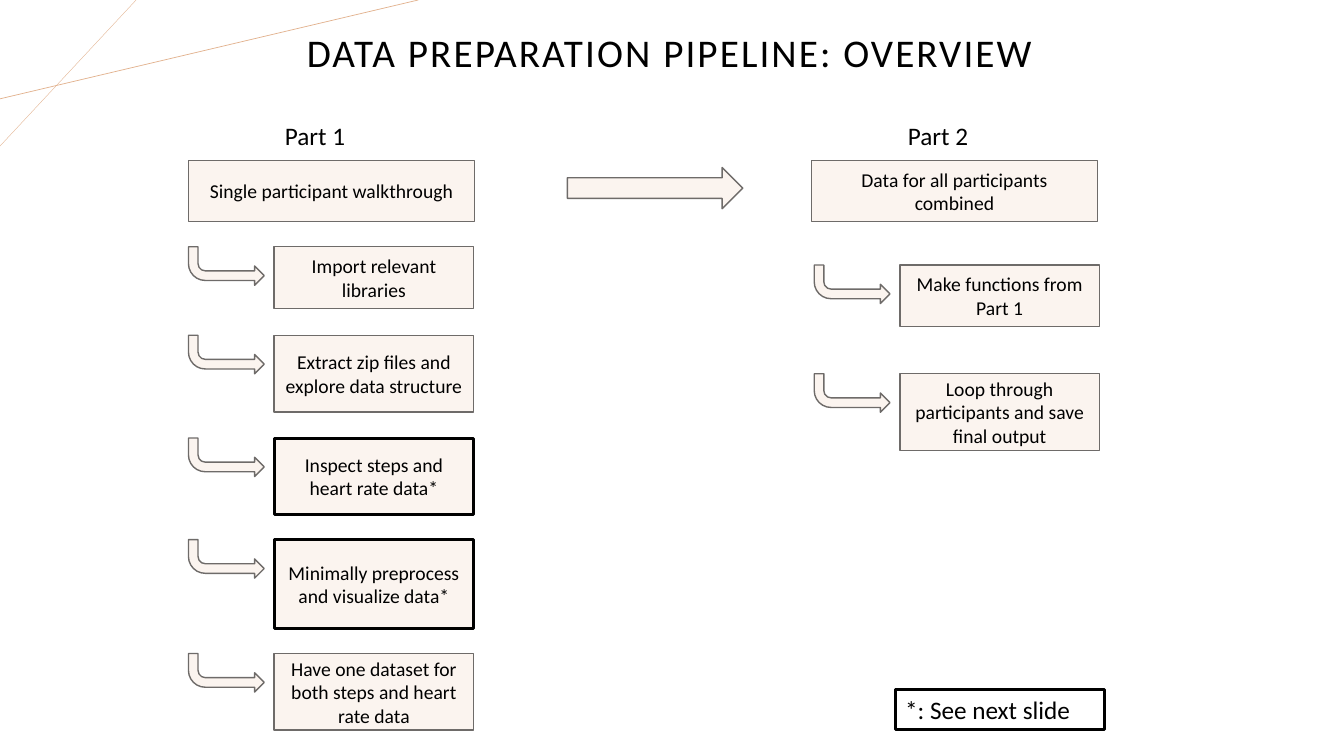
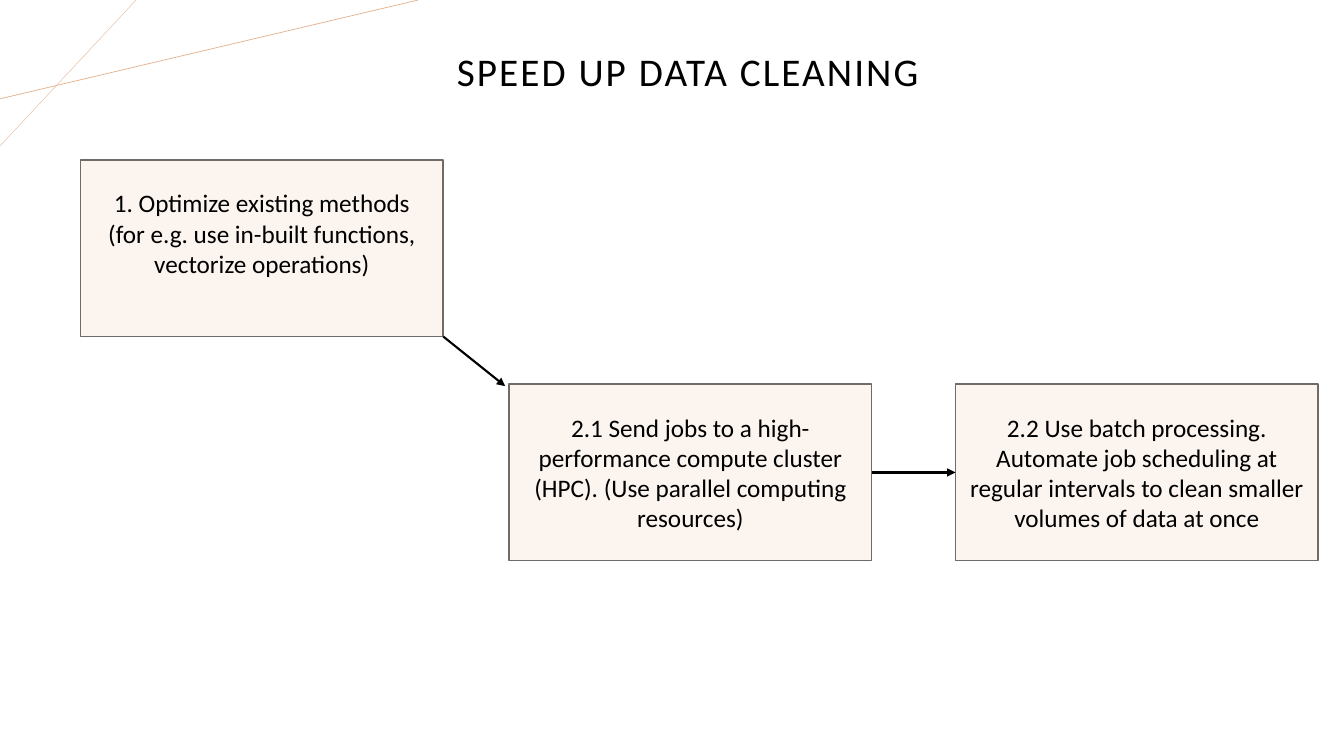
"""Build two slides on a data preparation pipeline and on faster data cleaning."""

from lxml.etree import SubElement
from pptx import Presentation
from pptx.dml.color import RGBColor
from pptx.enum.shapes import MSO_CONNECTOR as Connector, MSO_SHAPE as Preset
from pptx.enum.text import MSO_ANCHOR as Anchor, MSO_AUTO_SIZE as AutoSize, PP_ALIGN as Align
from pptx.oxml.ns import qn
from pptx.util import Cm, Pt

BLACK = RGBColor(0x00, 0x00, 0x00)
WHITE = RGBColor(0xFF, 0xFF, 0xFF)
CREAM = RGBColor(0xFB, 0xF4, 0xEF)
GREY = RGBColor(0x6E, 0x6B, 0x69)
PEACH = RGBColor(0xE2, 0xB1, 0x8D)

FONT = "Calibri"
THIN, THICK = 1, 2.25
LOW, HIGH, TALL = 1.55, 1.93, 2.24
COLUMN_TOP, COLUMN_WIDTH = 4.04, 7.21
STEP_INDENT, STEP_WIDTH = 2.16, 5.03
METHOD_WIDTH, METHOD_HEIGHT = 9.14, 4.45

PART_ONE_STEPS = [
    (6.22, LOW, "Import relevant libraries", False),
    (8.45, HIGH, "Extract zip files and explore data structure", False),
    (11.04, HIGH, "Inspect steps and heart rate data*", True),
    (13.6, TALL, "Minimally preprocess and visualize data*", True),
    (16.47, HIGH, "Have one dataset for both steps and heart rate data", False),
]
PART_TWO_STEPS = [
    (6.68, LOW, "Make functions from Part 1", False),
    (9.42, HIGH, "Loop through participants and save final output", False),
]


class Deck:
    """Holds the style, the presentation and the current slide."""

    def __init__(self):
        self.presentation = Presentation()
        self.presentation.slide_width = Cm(33.87)
        self.presentation.slide_height = Cm(19.05)
        self.layout = self.presentation.slide_layouts[5]
        self.slide = None

    def add_slide(self, title, left, top):
        """Start a slide and format its title."""
        self.slide = self.presentation.slides.add_slide(self.layout)
        shape = self.slide.shapes.title
        shape.left, shape.top, shape.width, shape.height = Cm(left), Cm(top), Cm(23.39), Cm(2.06)
        self.set_text(shape, [title], 28, Align.CENTER, Anchor.MIDDLE)
        paragraph = shape.text_frame.paragraphs[0]
        paragraph.line_spacing = 0.9
        shape.element.find(".//" + qn("a:rPr")).set("spc", "150")

    def add_layout_lines(self):
        """Move the two corner lines into the shared layout."""
        lines = [((3.43, 0), (0, 3.68), 0.25), ((10.54, 0), (0, 2.49), 0.5)]
        for number, (start, end, width) in enumerate(lines):
            element = self.line(start, end, PEACH, width).element
            element.nvCxnSpPr.cNvPr.set("id", str(20 + number))
            self.layout.shapes.element.insert(2 + number, element)

    def set_text(self, shape, texts, size, align, anchor):
        """Fill a shape with one paragraph per text."""
        frame = shape.text_frame
        frame.word_wrap = True
        frame.auto_size = AutoSize.NONE
        frame.vertical_anchor = anchor
        for number, text in enumerate(texts):
            paragraph = frame.add_paragraph() if number else frame.paragraphs[0]
            paragraph.alignment = align
            run = paragraph.add_run()
            run.text = text
            run.font.name = FONT
            run.font.size = Pt(size)
            run.font.color.rgb = BLACK

    def shape(self, preset, left, top, width, height, fill=CREAM, line=GREY, weight=THIN):
        """Add a filled and outlined preset shape."""
        shape = self.slide.shapes.add_shape(preset, Cm(left), Cm(top), Cm(width), Cm(height))
        shape.shadow.inherit = False
        shape.fill.solid()
        shape.fill.fore_color.rgb = fill
        shape.line.color.rgb = line
        shape.line.width = Pt(weight)
        return shape

    def box(self, left, top, width, height, texts, size=14, emphasised=False):
        """Add a rectangle with centred text."""
        line, weight = (BLACK, THICK) if emphasised else (GREY, THIN)
        shape = self.shape(Preset.RECTANGLE, left, top, width, height, CREAM, line, weight)
        self.set_text(shape, texts, size, Align.CENTER, Anchor.MIDDLE)
        return shape

    def method(self, left, top, *texts):
        """Add a large box that describes one method."""
        return self.box(left, top, METHOD_WIDTH, METHOD_HEIGHT, texts, 18)

    def label(self, left, top, width, text):
        """Add a left-aligned text box."""
        shape = self.slide.shapes.add_textbox(Cm(left), Cm(top), Cm(width), Cm(1.02))
        self.set_text(shape, [text], 18, Align.LEFT, Anchor.TOP)

    def note(self, left, top, width, text):
        """Add a white box with a heavy outline."""
        shape = self.shape(Preset.RECTANGLE, left, top, width, 1.02, WHITE, BLACK, THICK)
        self.set_text(shape, [text], 18, Align.LEFT, Anchor.TOP)

    def steps(self, left, steps):
        """Add a column of boxes, each with a bent arrow before it."""
        for top, height, text, emphasised in steps:
            arrow = self.shape(Preset.BENT_ARROW, left, top, 1.91, 0.97)
            arrow.element.spPr.find(qn("a:xfrm")).set("flipV", "1")
            self.box(left + STEP_INDENT, top, STEP_WIDTH, height, [text], 14, emphasised)

    def column(self, left, step_left, label, heading, steps):
        """Add one part of the pipeline: label, heading and steps."""
        self.label(left + 2.18, 2.9, 4.67, label)
        self.box(left, COLUMN_TOP, COLUMN_WIDTH, LOW, [heading])
        self.steps(step_left, steps)

    def line(self, start, end, color, width):
        """Add a straight line without a shadow."""
        points = [Cm(value) for value in (*start, *end)]
        connector = self.slide.shapes.add_connector(Connector.STRAIGHT, *points)
        connector.line.color.rgb = color
        connector.line.width = Pt(width)
        SubElement(connector.element.spPr, qn("a:effectLst"))
        return connector

    def arrow(self, start, end):
        """Add a black line with an arrowhead at its end."""
        connector = self.line(start, end, BLACK, 1.5)
        SubElement(connector.element.spPr.find(qn("a:ln")), qn("a:tailEnd"), type="triangle")
        return connector


def add_overview(deck):
    """Build the pipeline overview."""
    deck.add_slide("DATA PREPARATION PIPELINE: OVERVIEW", 5.18, 0.36)
    deck.add_layout_lines()
    deck.column(4.75, 4.75, "Part 1", "Single participant walkthrough", PART_ONE_STEPS)
    deck.shape(Preset.RIGHT_ARROW, 14.3, 4.22, 4.42, 1.04)
    deck.column(20.45, 20.52, "Part 2", "Data for all participants combined", PART_TWO_STEPS)
    deck.note(22.56, 17.37, 5.28, "*: See next slide")


def add_speed_up(deck):
    """Build the slide on faster cleaning."""
    deck.add_slide("SPEED UP DATA CLEANING", 5.64, 0.84)
    optimize = deck.method(
        2.03, 4.03, "1. Optimize existing methods",
        "(for e.g. use in-built functions, vectorize operations)")
    optimize.text_frame.margin_bottom = Cm(0.89)
    cluster = deck.method(
        12.83, 9.68, "2.1 Send jobs to a high-performance compute cluster (HPC). "
        "(Use parallel computing resources)")
    batch = deck.method(
        24.08, 9.68, "2.2 Use batch processing. Automate job scheduling at regular "
        "intervals to clean smaller volumes of data at once")
    deck.arrow((11.17, 8.48), (12.73, 9.73))
    middle = 9.68 + METHOD_HEIGHT / 2
    connector = deck.arrow((12.83 + METHOD_WIDTH, middle), (24.08, middle))
    connector.begin_connect(cluster, 3)
    connector.end_connect(batch, 1)


def main():
    """Build and save the presentation."""
    deck = Deck()
    add_overview(deck)
    add_speed_up(deck)
    deck.presentation.save("out.pptx")


if __name__ == "__main__":
    main()
